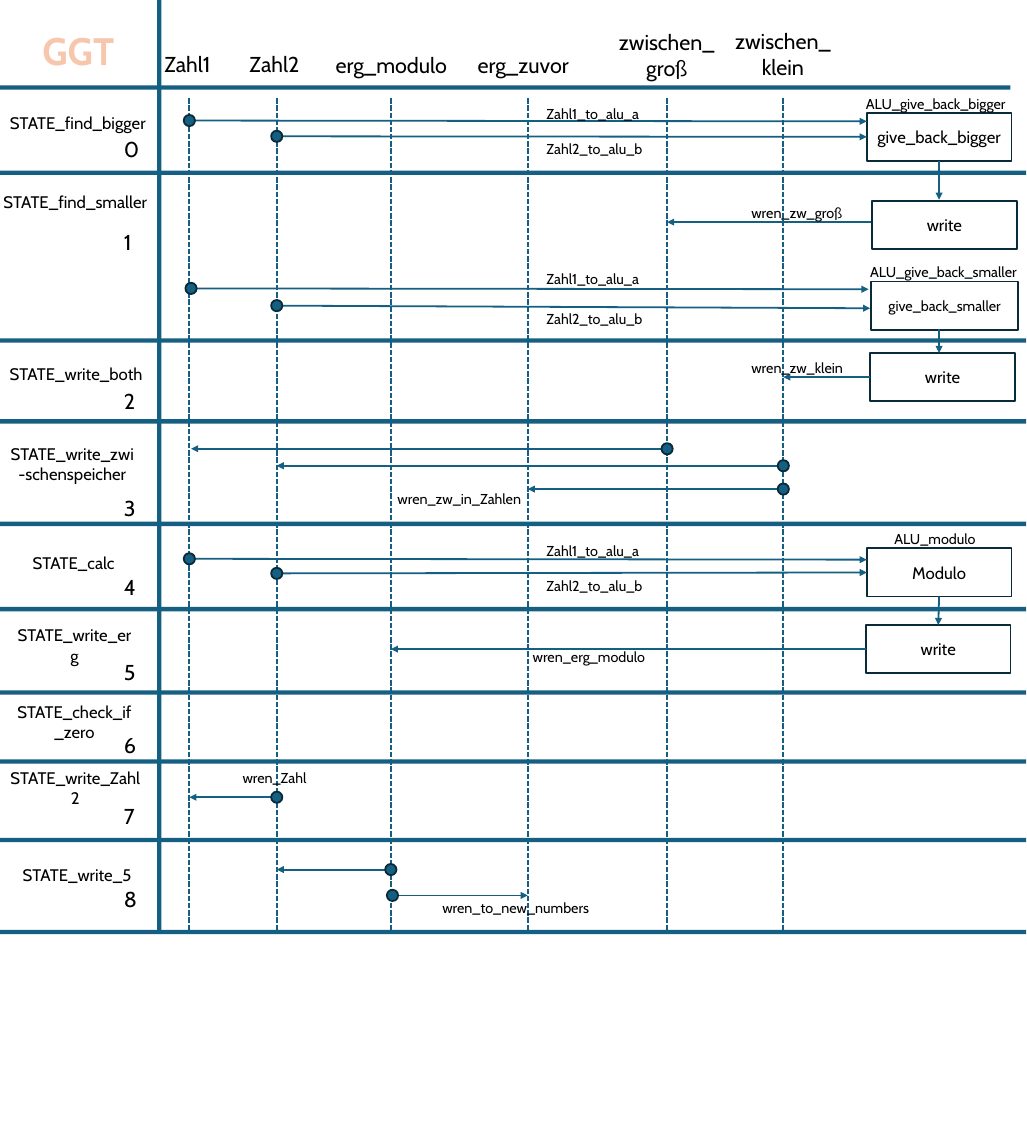
import pptx
import pptx.util
import pptx.dml.color
import pptx.enum.dml
import pptx.enum.shapes
import pptx.enum.text
import pptx.oxml.ns
from lxml import etree

Pt = pptx.util.Pt
RGBColor = pptx.dml.color.RGBColor
SHAPE = pptx.enum.shapes.MSO_SHAPE
ALIGN = pptx.enum.text.PP_ALIGN
ANCHOR = pptx.enum.text.MSO_ANCHOR
qn = pptx.oxml.ns.qn

TEAL = RGBColor(0x15, 0x60, 0x82)
NAVY = RGBColor(0x09, 0x2A, 0x39)
PEACH = RGBColor(0xF6, 0xC6, 0xAD)
BLACK = RGBColor(0, 0, 0)

TOP, LEFT, BOTTOM = 0, 1, 2
ZAHL1, ZAHL2, ERG_MODULO, ERG_ZUVOR, ZW_GROSS, ZW_KLEIN = (
    158.4, 231.5, 326.9, 441.4, 558, 655.2)
REGISTERS = (ZAHL1, ZAHL2, ERG_MODULO, ERG_ZUVOR, ZW_GROSS, ZW_KLEIN)
DIAGRAM_TOP, DIAGRAM_BOTTOM = 82.1, 780.5
RULE_WIDTH, DOT_SIZE, LINE_WIDTH = 3.6, 9.4, 1.5
STEP_RULES = (142.6, 283, 350.6, 436.3, 507.6, 577.4, 635, 700.6, 777.6)

HEADINGS = (
    ("Zahl1", 130.3, 38.9, 85.7, 28.8, ALIGN.LEFT),
    ("Zahl2", 201.6, 38.9, 85.7, 28.8, ALIGN.LEFT),
    ("erg_modulo", 273.6, 39.6, 118.8, 28.8, ALIGN.LEFT),
    ("erg_zuvor", 392.4, 40.3, 114.5, 28.8, ALIGN.LEFT),
    ("zwischen_groß", 506.9, 20.9, 101.5, 51.1, ALIGN.CENTER),
    ("zwischen_klein", 604.1, 20.2, 101.5, 51.1, ALIGN.CENTER),
)
STATES = (
    ("STATE_find_bigger", 0.7, 89.3, 128.9, 26.6, 110.2),
    ("STATE_find_smaller", -5.8, 155.5, 137.5, 26.6, 187.9),
    ("STATE_write_both", 0.7, 294.5, 126, 36.7, 321.1),
    ("STATE_write_zwi-schenspeicher", 0.7, 369.4, 119.5, 36.7, 410.4),
    ("STATE_calc", 3.6, 452.2, 115.9, 36.7, 476.6),
    ("STATE_write_erg", 4.3, 521.3, 115.9, 36.7, 547.2),
    ("STATE_check_if_zero", 4.3, 585.4, 115.9, 36.7, 608.4),
    ("STATE_write_Zahl2", -0.7, 640.1, 127.4, 36.7, 668.2),
    ("STATE_write_5", 6.5, 713.5, 115.9, 36.7, 737.3),
)
SIGNALS = (
    (ZAHL1, 100.8, 725, 101.5),
    (159.8, 241.2, 726.5, 241.9),
    (ZAHL2, 255.6, 727.9, 257.8),
    (ZW_GROSS, 375.3, 159.8, 375.3),
    (ZW_KLEIN, 389.5, ZAHL2, 389.5),
    (ZW_KLEIN, 409, ERG_ZUVOR, 409),
    (ZAHL1, 467.3, 725, 468),
    (ZAHL2, 666.7, ZAHL1, 666.7),
    (ERG_MODULO, 727.2, ZAHL2, 727.2),
    (328.3, 748.8, ERG_ZUVOR, 748.8),
)
SIGNAL_LABELS = (
    *(("Zahl1_to_alu_a", 450, y, 119.5) for y in (84.2, 222.5, 450)),
    *(("Zahl2_to_alu_b", 450, y, 119.5) for y in (113.8, 255.6, 478.8)),
    ("wren_zw_groß", 621.4, 167, 119.5),
    ("wren_zw_klein", 621.4, 296.6, 119.5),
    ("wren_zw_in_Zahlen", 325.4, 406.1, 119.5),
    ("wren_erg_modulo", 438.5, 538.6, 119.5),
    ("wren_Zahl", 195.8, 639.4, 119.5),
    ("wren_to_new_numbers", 362.9, 748.1, 142.6),
    ("ALU_give_back_bigger", 717.1, 76.3, 133.9),
    ("ALU_give_back_smaller", 720.7, 216.7, 138.2),
    ("ALU_modulo", 740.9, 439.9, 138.2),
)


def write_text(frame, text, size=14, color=BLACK, bold=False,
               align=ALIGN.LEFT, anchor=ANCHOR.TOP, wrap=True):
    """Put formatted text into a text frame."""
    frame.word_wrap = wrap
    frame.vertical_anchor = anchor
    paragraph = frame.paragraphs[0]
    paragraph.alignment = align
    run = paragraph.add_run()
    run.text = text
    run.font.name = "Cabin"
    run.font.size = Pt(size)
    run.font.bold = bold
    run.font.color.rgb = color


def add_label(slide, text, x, y, width, height, **text_format):
    """Add a text box."""
    label = slide.shapes.add_textbox(Pt(x), Pt(y), Pt(width), Pt(height))
    write_text(label.text_frame, text, **text_format)


def add_figure(slide, preset, x, y, width, height, fill=None, outline=None):
    """Add a preset shape with an optional fill and outline."""
    figure = slide.shapes.add_shape(preset, Pt(x), Pt(y), Pt(width), Pt(height))
    figure.shadow.inherit = False
    if fill is None:
        figure.fill.background()
    else:
        figure.fill.solid()
        figure.fill.fore_color.rgb = fill
    if outline is None:
        figure.line.fill.background()
    else:
        figure.line.color.rgb = outline
        figure.line.width = Pt(LINE_WIDTH)
    return figure


def add_rule(slide, x, y, width, height):
    """Add a thick bar between the parts of the diagram."""
    add_figure(slide, SHAPE.RECTANGLE, x, y, width, height, fill=TEAL)


def add_box(slide, text, x, y, width=121, size=14):
    """Add an outlined operation box."""
    box = add_figure(slide, SHAPE.RECTANGLE, x, y, width, 40.3, outline=NAVY)
    write_text(box.text_frame, text, size=size, align=ALIGN.CENTER,
               anchor=ANCHOR.MIDDLE)
    return box


def add_line(slide, x1, y1, x2, y2):
    """Add a plain straight connector."""
    line = slide.shapes.add_connector(
        pptx.enum.shapes.MSO_CONNECTOR.STRAIGHT, Pt(x1), Pt(y1), Pt(x2), Pt(y2))
    line.line.color.rgb = TEAL
    line.line.width = Pt(LINE_WIDTH)
    etree.SubElement(line.element.spPr, qn("a:effectLst"))
    return line


def add_arrow(slide, x1, y1, x2, y2, begin=None, end=None):
    """Add an arrow, joined to the (box, side) pairs given."""
    arrow = add_line(slide, x1, y1, x2, y2)
    etree.SubElement(arrow.line._get_or_add_ln(), qn("a:tailEnd"), type="triangle")
    if begin:
        arrow.begin_connect(*begin)
    if end:
        arrow.end_connect(*end)


def add_signal(slide, x1, y1, x2, y2, end=None):
    """Add an arrow that starts at a dot on a register line."""
    add_arrow(slide, x1, y1, x2, y2, end=end)
    add_figure(slide, SHAPE.OVAL, x1 - DOT_SIZE / 2, y1 - DOT_SIZE / 2,
               DOT_SIZE, DOT_SIZE, fill=TEAL, outline=NAVY)


def add_grid(slide):
    """Add the register lines and the bars between the states."""
    for register in REGISTERS:
        lifeline = add_line(slide, register, DIAGRAM_TOP, register, DIAGRAM_BOTTOM)
        lifeline.line.dash_style = pptx.enum.dml.MSO_LINE.SQUARE_DOT
    add_rule(slide, -2.2, 71.3, 847.4, RULE_WIDTH)
    add_rule(slide, 131.4, 0, RULE_WIDTH, DIAGRAM_BOTTOM)
    for y in STEP_RULES:
        add_rule(slide, -1.4, y, 859.7, RULE_WIDTH)


def add_operations(slide):
    """Add the operation boxes and the arrows joined to them."""
    bigger = add_box(slide, "give_back_bigger", 725, 94.3)
    add_box(slide, "write", 729.4, 167.8)
    add_box(slide, "give_back_smaller", 728.6, 235.4, width=123.1, size=12)
    write_klein = add_box(slide, "write", 727.9, 295.2)
    modulo = add_box(slide, "Modulo", 725, 458.6)
    write_erg = add_box(slide, "write", 724.3, 522.7)

    add_signal(slide, ZAHL2, 114, 725, 114.45, end=(bigger, LEFT))
    add_signal(slide, ZAHL2, 479.5, 725, 478.75, end=(modulo, LEFT))
    add_arrow(slide, 785.5, 134.6, 785.5, 167, begin=(bigger, BOTTOM))
    add_arrow(slide, 785.5, 275, 785.5, 295.2)
    add_arrow(slide, 785.5, 498.9, 784.8, 522.7,
              begin=(modulo, BOTTOM), end=(write_erg, TOP))
    add_arrow(slide, 728.6, 185.8, ZW_GROSS, 185.8)
    add_arrow(slide, 727.9, 315.35, ZW_KLEIN, 315.35, begin=(write_klein, LEFT))
    add_arrow(slide, 724.3, 542.85, ERG_MODULO, 542.85, begin=(write_erg, LEFT))


def main():
    """Build the GGT state diagram."""
    presentation = pptx.Presentation()
    presentation.slide_width, presentation.slide_height = Pt(859), Pt(960)
    slide = presentation.slides.add_slide(presentation.slide_layouts[6])

    add_grid(slide)
    add_label(slide, "GGT", 27.4, 19.4, 76.3, 46.1, size=32, color=PEACH,
              bold=True, align=ALIGN.CENTER, wrap=False)
    for text, x, y, width, height, align in HEADINGS:
        add_label(slide, text, x, y, width, height, size=18, align=align)
    for number, (text, x, y, width, height, number_y) in enumerate(STATES):
        add_label(slide, text, x, y, width, height, align=ALIGN.CENTER,
                  anchor=ANCHOR.MIDDLE)
        add_label(slide, str(number), 96.5, number_y, 26.6, 28.8, size=18)
    add_operations(slide)
    for signal in SIGNALS:
        add_signal(slide, *signal)
    for text, x, y, width in SIGNAL_LABELS:
        add_label(slide, text, x, y, width, 21.6, size=12)

    presentation.save("out.pptx")


if __name__ == "__main__":
    main()
